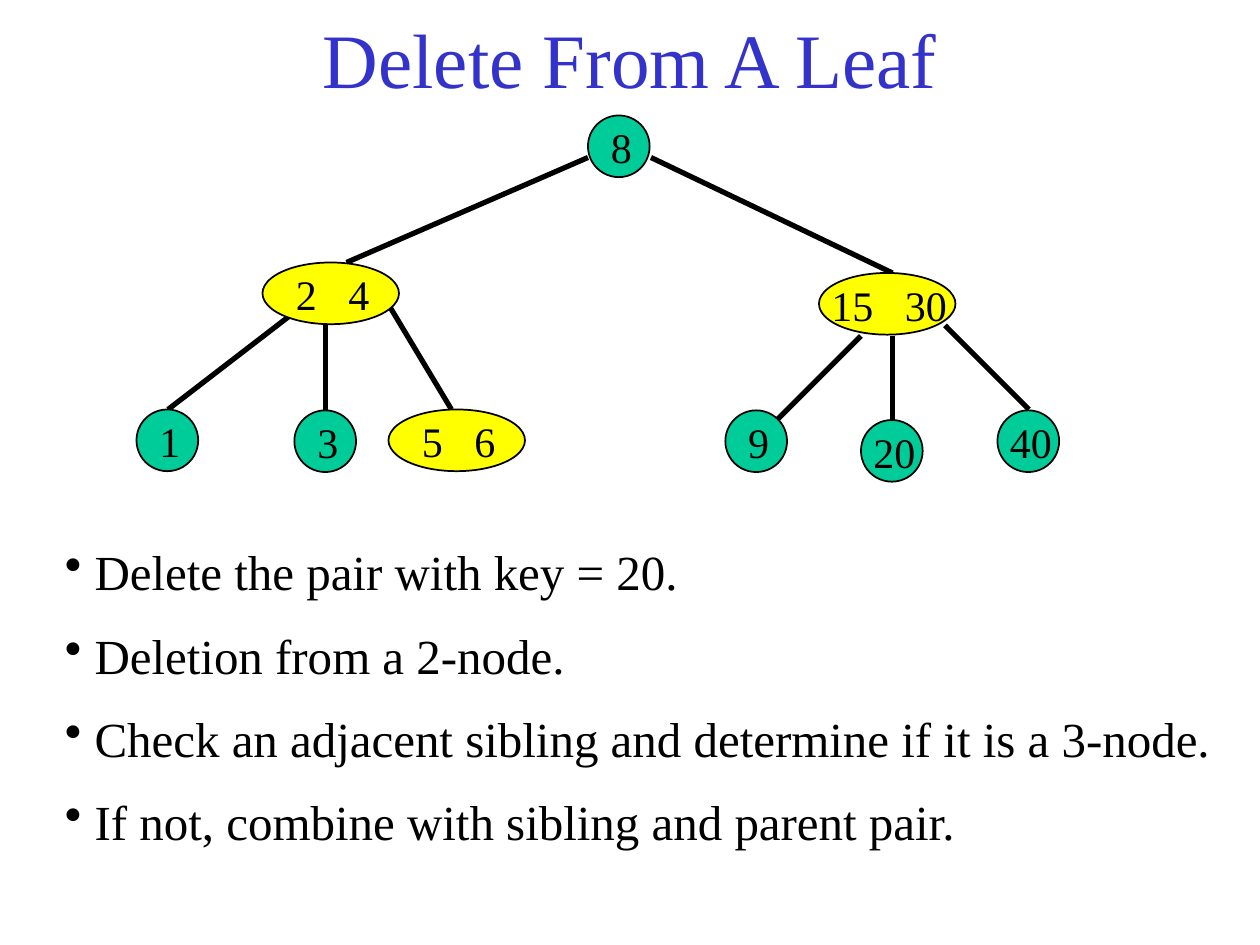
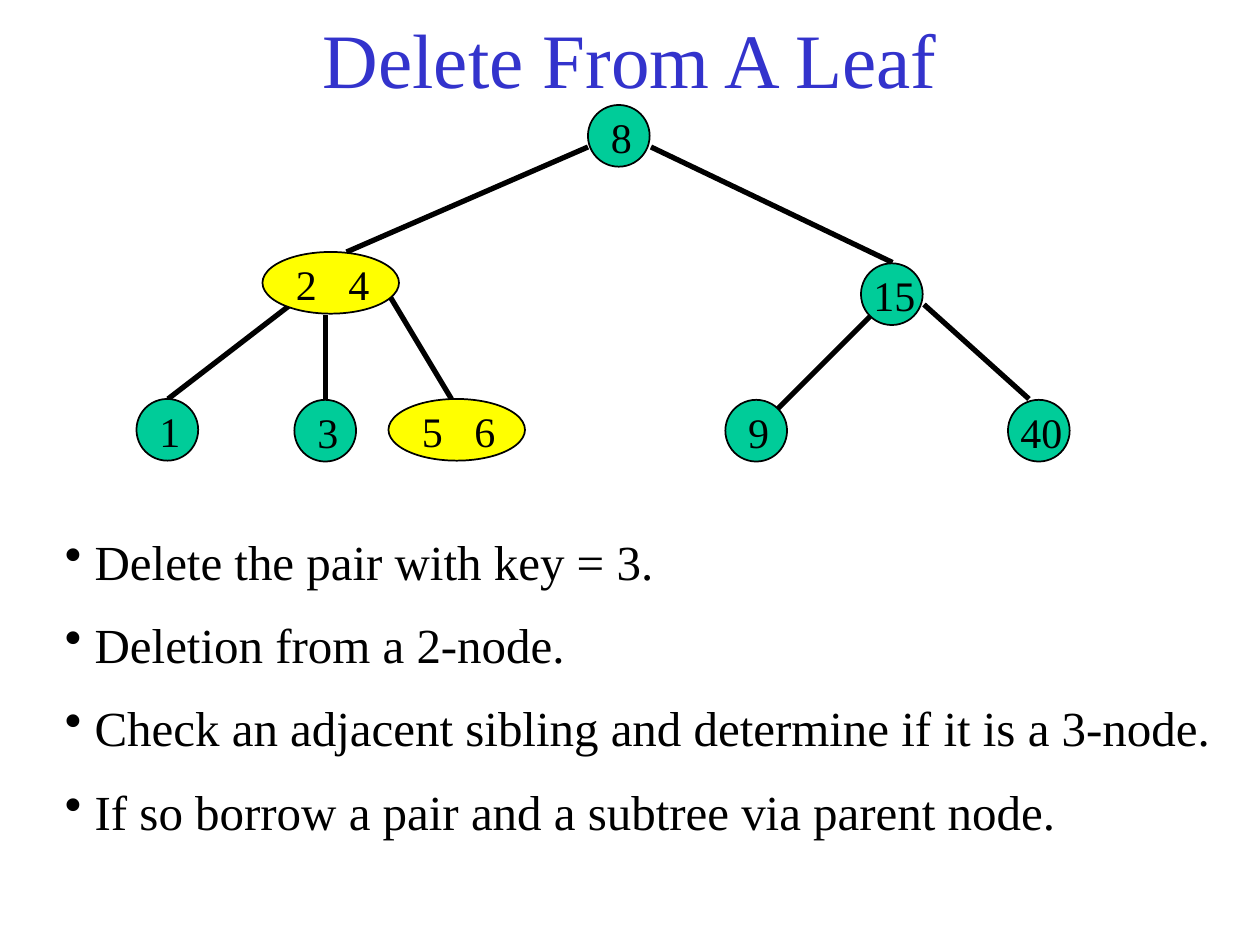
"""Builds two slides on deleting a pair from a leaf of a 2-3 tree."""
import pptx
import pptx.dml.color
import pptx.enum.shapes
import pptx.enum.text
import pptx.oxml.ns
import pptx.util
from lxml import etree

Pt = pptx.util.Pt
COLORS = {"title": "3333CC", "ink": "000000", "two_node": "00CC99", "three_node": "FFFF00"}
FONT = "Times New Roman"
NODE_HEIGHT = 35.25
NODE_WIDTHS = {1: 35.25, 2: 78}

SHARED_NODES = [
    ("8", 336, 66), ("2 4", 150, 150), ("1", 78, 234),
    ("3", 168.25, 234.5), ("5 6", 222, 234), ("9", 414.5, 234.5),
]
SHARED_EDGES = [
    (336, 90, 198, 150), (372, 90, 510, 156), (174, 174, 96, 234),
    (222, 174, 258, 234), (186, 186, 186, 234),
]
SLIDES = [
    {
        "shift": 0,
        "nodes": [("15 30", 468, 156), ("20", 492, 240), ("40", 570, 234.5)],
        "edges": [(492, 192, 444, 240), (540, 186, 588, 234), (510, 192, 510, 240)],
        "steps_width": 690,
        "steps": [
            "Delete the pair with key = 20.",
            "Deletion from a 2-node.",
            "Check an adjacent sibling and determine if it is a 3-node.",
            "If not, combine with sibling and parent pair.",
        ],
    },
    {
        "shift": -6,
        "nodes": [("15", 492, 156.5), ("40", 576, 234.5)],
        "edges": [(498, 186, 444, 240), (528, 180, 588, 234)],
        "steps_width": 672,
        "steps": [
            "Delete the pair with key = 3.",
            "Deletion from a 2-node.",
            "Check an adjacent sibling and determine if it is a 3-node.",
            "If so borrow a pair and a subtree via parent node.",
        ],
    },
]


def rgb(name):
    return pptx.dml.color.RGBColor.from_string(COLORS[name])


def add_element(parent, tag, **attributes):
    return etree.SubElement(parent, pptx.oxml.ns.qn(tag), attributes)


class TreeDeck:
    def __init__(self):
        self.deck = pptx.Presentation()
        self.deck.slide_width, self.deck.slide_height = Pt(720), Pt(540)
        self.page = None
        self.shift = 0

    def new_page(self, shift):
        self.page = self.deck.slides.add_slide(self.deck.slide_layouts[6])
        self.shift = shift

    def text_box(self, left, top, width, height, wrap=True):
        box = self.page.shapes.add_textbox(Pt(left), Pt(top), Pt(width), Pt(height))
        box.text_frame.word_wrap = wrap
        return box.text_frame

    def set_font(self, para, size, color="ink"):
        para.font.name = FONT
        para.font.size = Pt(size)
        para.font.color.rgb = rgb(color)

    def title(self, text):
        frame = self.text_box(54, 0, 612, 66)
        frame.vertical_anchor = pptx.enum.text.MSO_ANCHOR.MIDDLE
        para = frame.paragraphs[0]
        para.text = text
        para.alignment = pptx.enum.text.PP_ALIGN.CENTER
        self.set_font(para, 44, "title")

    def edge(self, start_x, start_y, end_x, end_y):
        line = self.page.shapes.add_connector(
            pptx.enum.shapes.MSO_CONNECTOR.STRAIGHT,
            Pt(start_x), Pt(start_y + self.shift), Pt(end_x), Pt(end_y + self.shift))
        line.line.color.rgb = rgb("ink")
        line.line.width = Pt(3)
        add_element(line._element.spPr, "a:effectLst")

    def node(self, label, left, top):
        keys = label.split()
        top += self.shift
        oval = self.page.shapes.add_shape(
            pptx.enum.shapes.MSO_SHAPE.OVAL,
            Pt(left), Pt(top), Pt(NODE_WIDTHS[len(keys)]), Pt(NODE_HEIGHT))
        oval.shadow.inherit = False
        oval.fill.solid()
        oval.fill.fore_color.rgb = rgb("two_node" if len(keys) == 1 else "three_node")
        oval.line.color.rgb = rgb("ink")
        oval.line.width = Pt(1)

        digits = len(keys[0])
        offset = 6 * len(keys) if digits == 1 else 0
        width = 18 + 12 * digits * len(keys) + 18 * (len(keys) - 1)
        para = self.text_box(left + offset, top, width, 36, wrap=False).paragraphs[0]
        para.text = "\t".join(keys)
        if len(keys) == 2:
            tabs = add_element(para._p.get_or_add_pPr(), "a:tabLst")
            add_element(tabs, "a:tab", pos=str(Pt(18 + 12 * digits)), algn="l")
        self.set_font(para, 24)

    def steps(self, lines, width):
        frame = self.text_box(30, 306 + self.shift, width, 192)
        for index, line in enumerate(lines):
            para = frame.add_paragraph() if index else frame.paragraphs[0]
            para.text = line
            if index:
                para.space_before = Pt(14)
            properties = para._p.get_or_add_pPr()
            properties.set("marL", str(Pt(17)))
            properties.set("indent", str(Pt(-17)))
            add_element(properties, "a:buChar", char="•")
            self.set_font(para, 28)


def main():
    tree = TreeDeck()
    for content in SLIDES:
        tree.new_page(content["shift"])
        tree.title("Delete From A Leaf")
        for edge in SHARED_EDGES + content["edges"]:
            tree.edge(*edge)
        for node in SHARED_NODES + content["nodes"]:
            tree.node(*node)
        tree.steps(content["steps"], content["steps_width"])
    tree.deck.save("out.pptx")


if __name__ == "__main__":
    main()
